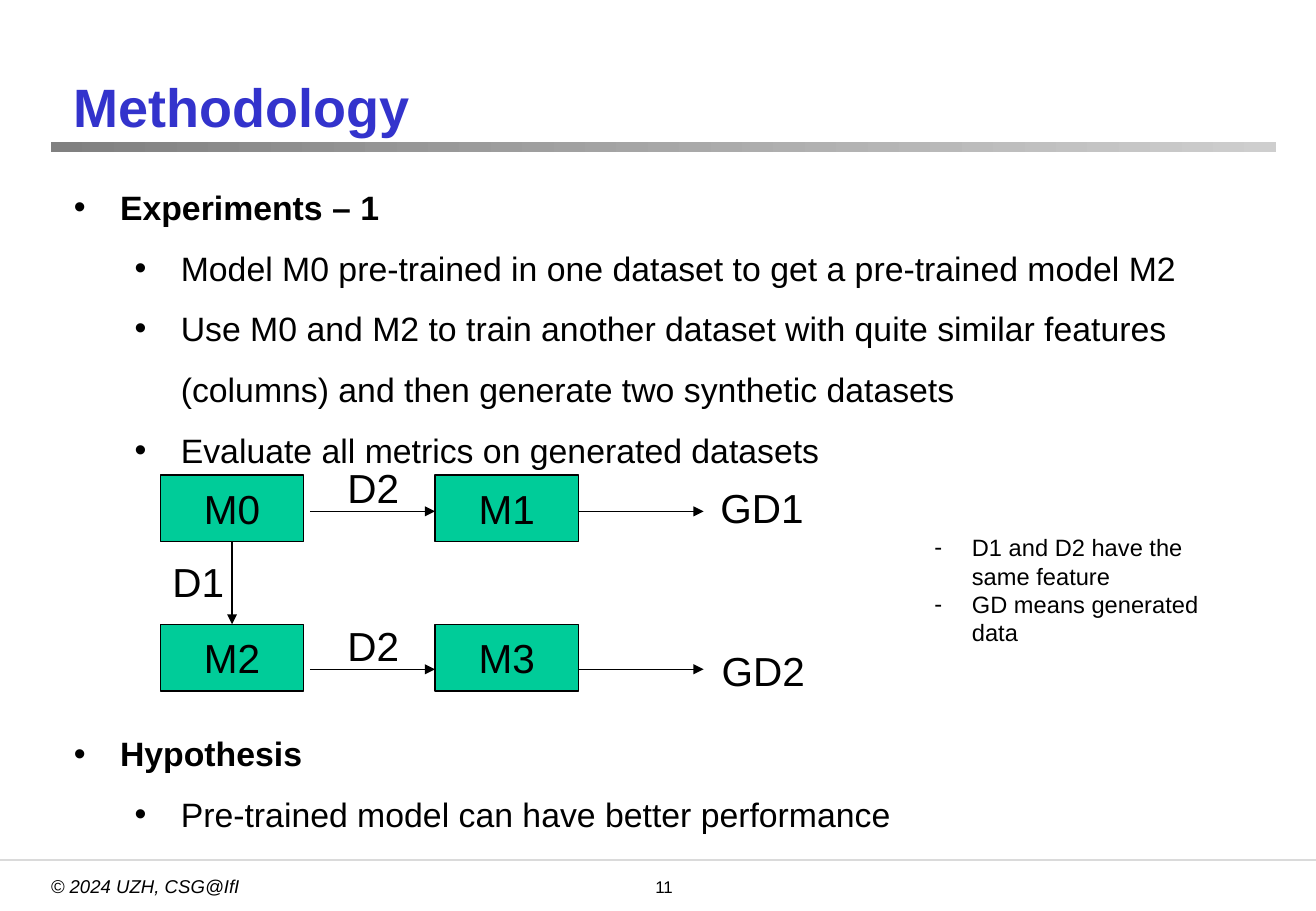
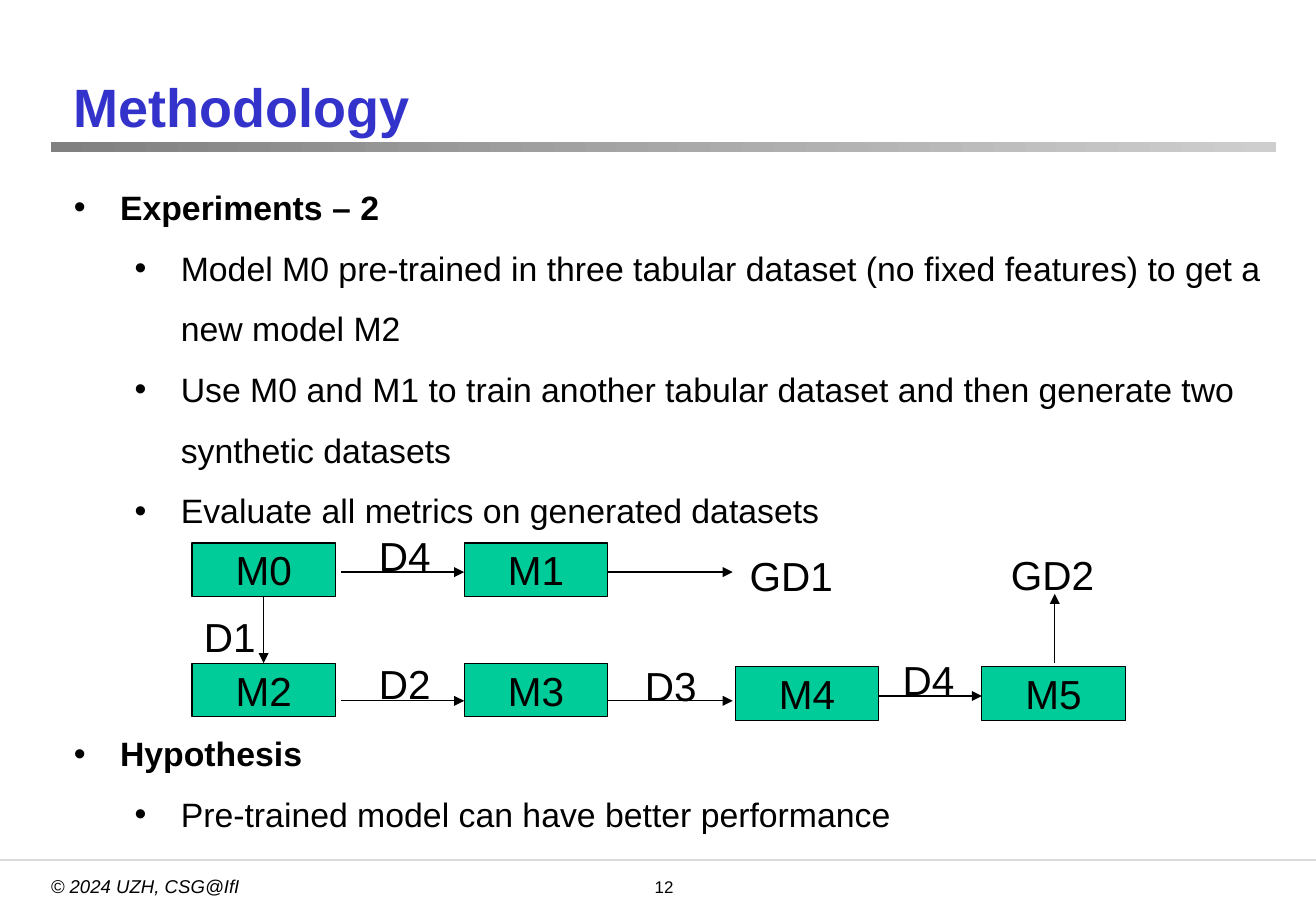
from pptx import Presentation, util as u
from pptx.dml.color import RGBColor
from pptx.enum import shapes, text
from pptx.oxml.ns import qn
from lxml import etree

BLACK = RGBColor(0x00, 0x00, 0x00)
BLUE = RGBColor(0x33, 0x33, 0xCC)
GREEN = RGBColor(0x00, 0xCC, 0x99)
GRAY = RGBColor(0x80, 0x80, 0x80)
SILVER = RGBColor(0xCE, 0xCE, 0xCE)
PALE = RGBColor(0xDA, 0xDA, 0xDA)
FONT = "Arial"
SCALE = 9144
WIDTH = 118
LEFT, MID = text.PP_ALIGN.LEFT, text.PP_ALIGN.CENTER


def px(n):
    return u.Emu(n * SCALE)


def write(para, words, size=24, color=BLACK, bold=False, italic=False, align=LEFT,
          level=0, lead=None, before=None, bullet=None, left=0, hang=0):
    para.alignment, para.level = align, level
    if lead:
        para.line_spacing = u.Pt(lead)
    if before:
        para.space_before = u.Pt(before)
    if bullet:
        props = para._p.get_or_add_pPr()
        props.set("marL", str(px(left)))
        props.set("indent", str(px(-hang)))
        etree.SubElement(props, qn("a:buFont")).set("typeface", FONT)
        etree.SubElement(props, qn("a:buChar")).set("char", bullet)
    run = para.add_run()
    run.text = words
    font = run.font
    font.name, font.size, font.bold, font.italic = FONT, u.Pt(size), bold, italic
    font.color.rgb = color


class Deck:
    """Holds the shared style and the current slide."""

    def __init__(self):
        self.prs = Presentation()
        self.prs.slide_width, self.prs.slide_height = px(1083), px(750)

    def page(self, title, num):
        self.slide = self.prs.slides.add_slide(self.prs.slide_layouts[6])
        self.band(42, 117, 1008, 8)
        self.line(0, 708, 1083, 708, color=PALE, weight=1, head=False)
        self.label("© 2024 UZH, CSG@IfI", 32, 715, 180, 28, size=11, italic=True)
        self.label(str(num), 501, 720, 91, 24, size=10, align=MID, lead=10)
        box = self.label(title, 51, 32, 589, 87, size=32, color=BLUE, bold=True)
        box.text_frame.vertical_anchor = text.MSO_ANCHOR.BOTTOM

    def rect(self, x, y, w, h):
        shape = self.slide.shapes.add_shape(
            shapes.MSO_SHAPE.RECTANGLE, px(x), px(y), px(w), px(h))
        shape.shadow.inherit = False
        return shape

    def band(self, x, y, w, h):
        shape = self.rect(x, y, w, h)
        shape.line.fill.background()
        shape.fill.gradient()
        shape.fill.gradient_angle = 0
        for stop, color, place in zip(shape.fill.gradient_stops, (GRAY, SILVER), (0, 1)):
            stop.color.rgb, stop.position = color, place

    def model(self, name, x, y, h):
        shape = self.rect(x, y, WIDTH, h)
        shape.fill.solid()
        shape.fill.fore_color.rgb = GREEN
        shape.line.color.rgb, shape.line.width = BLACK, u.Pt(0.75)
        frame = shape.text_frame
        frame.word_wrap = False
        frame.vertical_anchor = text.MSO_ANCHOR.MIDDLE
        write(frame.paragraphs[0], name, align=MID)

    def line(self, x1, y1, x2, y2, color=BLACK, weight=0.75, head=True):
        link = self.slide.shapes.add_connector(
            shapes.MSO_CONNECTOR.STRAIGHT, px(x1), px(y1), px(x2), px(y2))
        link.line.color.rgb, link.line.width = color, u.Pt(weight)
        if head:
            etree.SubElement(link.line._get_or_add_ln(), qn("a:tailEnd")).set("type", "triangle")
        etree.SubElement(link._element.spPr, qn("a:effectLst"))

    def area(self, x, y, w, h):
        box = self.slide.shapes.add_textbox(px(x), px(y), px(w), px(h))
        box.text_frame.word_wrap = True
        return box

    def label(self, words, x, y, w=67, h=50, **style):
        box = self.area(x, y, w, h)
        write(box.text_frame.paragraphs[0], words, **style)
        return box

    def items(self, rows, x, y, w, h):
        frame = self.area(x, y, w, h).text_frame
        for i, (words, style) in enumerate(rows):
            para = frame.add_paragraph() if i else frame.paragraphs[0]
            write(para, words, **style)

    def body(self, head, points, gap):
        top = dict(size=20, bold=True, lead=36, bullet="•", left=38, hang=38)
        sub = dict(top, bold=False, level=1, left=88)
        rows = [(head, top)] + [(words, sub) for words in points]
        rows += [("Hypothesis", dict(top, before=gap)),
                 ("Pre-trained model can have better performance", sub)]
        self.items(rows, 51, 132, 1007, 559)

    def flow(self, x, y1, y2, h, step, drop, data):
        mid = x + WIDTH // 2
        out = x + step + WIDTH
        for y, names, fall, rise, word in ((y1, ("M0", "M1"), drop, 15, data),
                                           (y2, ("M2", "M3"), drop + 7, 8, "D2")):
            for i, name in enumerate(names):
                self.model(name, x + i * step, y, h)
            self.line(x + 123, y + fall, x + step, y + fall)
            self.line(out, y + fall, out + 103, y + fall)
            self.label(word, x + 144, y - rise)
        self.line(mid, y1 + h, mid, y2)
        self.label("D1", x, y1 + h + 8)
        self.label("GD1", out + 107, y1 + 2, 90)


def first(deck):
    deck.page("Methodology", 11)
    deck.body("Experiments – 1", [
        "Model M0 pre-trained in one dataset to get a pre-trained model M2",
        "Use M0 and M2 to train another dataset with quite similar features "
        "(columns) and then generate two synthetic datasets",
        "Evaluate all metrics on generated datasets"], 144)
    deck.flow(132, 391, 514, 55, 226, 30, "D2")
    deck.label("GD2", 584, 527, 90)
    note = dict(size=14, bullet="-", left=31, hang=31)
    deck.items([("D1 and D2 have the same feature", note),
                ("GD means generated data", note)], 759, 434, 239, 128)


def second(deck):
    deck.page("Methodology", 12)
    deck.body("Experiments – 2", [
        "Model M0 pre-trained in three tabular dataset (no fixed features) to get a new model M2",
        "Use M0 and M1 to train another tabular dataset and then generate two synthetic datasets",
        "Evaluate all metrics on generated datasets"], 108)
    deck.flow(158, 447, 546, 44, 224, 24, "D4")
    for name, x in (("M4", 605), ("M5", 808)):
        deck.model(name, x, 549, 44)
    deck.label("D3", 521, 539)
    deck.label("D4", 733, 534)
    deck.label("GD2", 822, 448, 90)
    deck.line(723, 573, 808, 573)
    deck.line(868, 546, 868, 489)


def main():
    deck = Deck()
    first(deck)
    second(deck)
    deck.prs.save("out.pptx")


if __name__ == "__main__":
    main()
